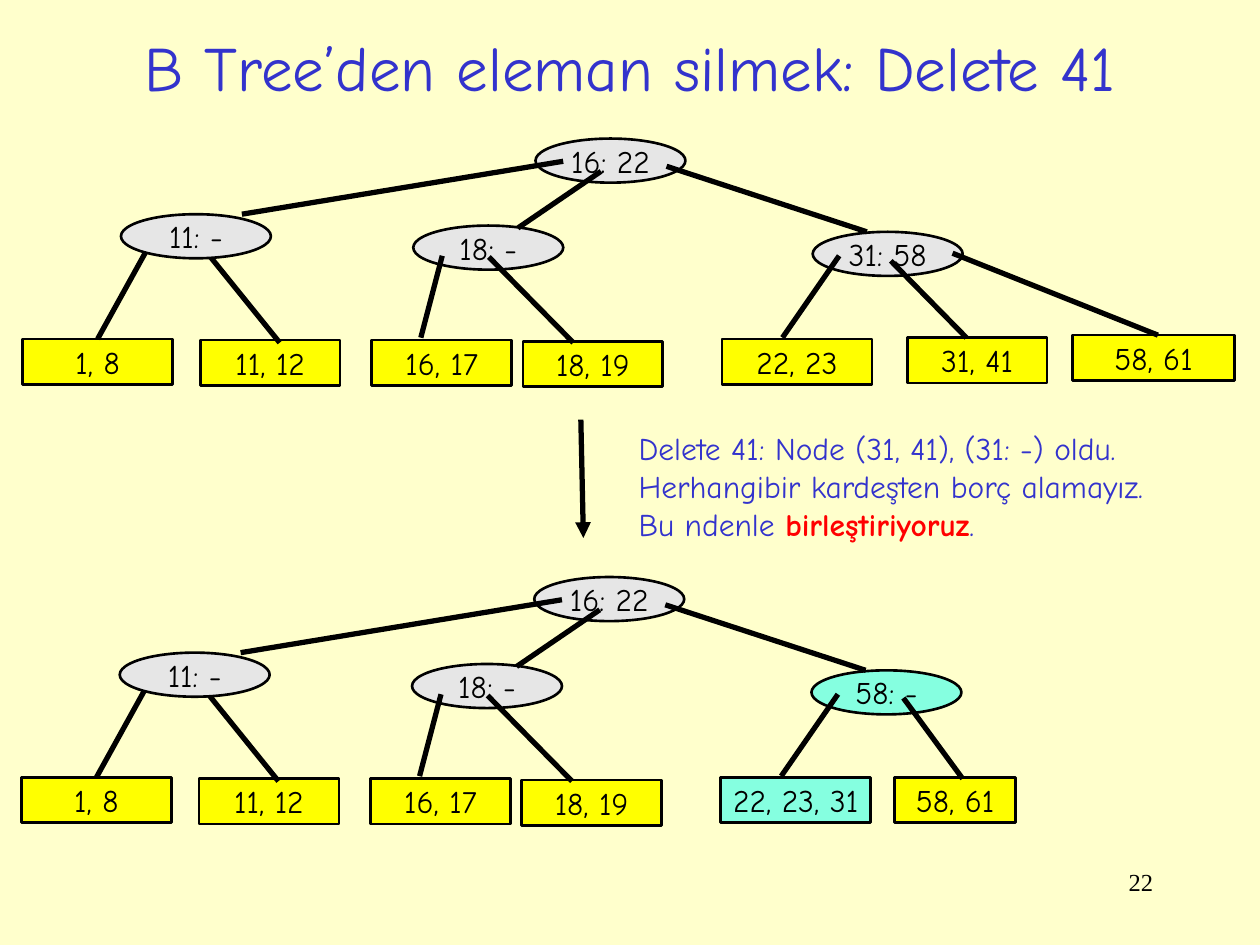
import pptx
import pptx.util
import pptx.dml.color
import pptx.enum.shapes
import pptx.enum.text
import pptx.oxml.ns
import lxml.etree

Inches, Pt = pptx.util.Inches, pptx.util.Pt
Shape = pptx.enum.shapes.MSO_SHAPE
Align = pptx.enum.text.PP_ALIGN
Anchor = pptx.enum.text.MSO_ANCHOR

FONT = "Comic Neue"
BLUE, BLACK, RED = "3333CC", "000000", "FF0000"
GREY, YELLOW, MINT = "E6E6E6", "FFFF00", "85FFE0"
NODE_WIDTH, NODE_HEIGHT, LEAF_HEIGHT = 1.19, 0.35, 0.36

# Content: nodes are (text, left, top, fill), leaves are (text, left, top, width, fill)
TITLE = "B Tree’den eleman silmek: Delete 41 "
EXPLANATION = [
    [("Delete 41: Node (31, 41), (31: -) oldu.", BLUE, False)],
    [("Herhangibir kardeşten borç alamayız.", BLUE, False)],
    [("Bu ndenle ", BLUE, False), ("birleştiriyoruz", RED, True), (".", BLUE, False)],
]
SHARED = {
    "nodes": [("16: 22", 4.25, 1.1, GREY), ("18: -", 3.28, 1.79, GREY)],
    "leaves": [("1, 8", 0.18, 2.69, 1.19, YELLOW), ("11, 12", 1.59, 2.7, 1.11, YELLOW),
               ("16, 17", 2.95, 2.7, 1.11, YELLOW), ("18, 19", 4.15, 2.71, 1.11, YELLOW)],
    "edges": [(4.47, 1.28, 1.92, 1.7), (4.77, 1.36, 4.11, 1.81), (5.29, 1.32, 6.88, 1.84),
              (1.19, 1.94, 0.77, 2.69), (1.59, 1.94, 2.22, 2.72),
              (3.51, 2.03, 3.34, 2.68), (3.88, 2.04, 4.55, 2.72),
              (6.66, 2.03, 6.21, 2.68)],
}
FRONT_NODE = ("11: -", 0.96, 1.7, GREY)  # covers the start of its edges
BEFORE = {
    "nodes": [("31: 58", 6.45, 1.84, GREY)],
    "leaves": [("22, 23", 5.73, 2.69, 1.19, YELLOW), ("31, 41", 7.2, 2.68, 1.11, YELLOW),
               ("58, 61", 8.51, 2.66, 1.29, YELLOW)],
    "edges": [(7.07, 2.07, 7.67, 2.68), (7.56, 2.01, 9.19, 2.66)],
}
AFTER = {
    "nodes": [("58: -", 6.45, 1.84, MINT)],
    "leaves": [("22, 23, 31", 5.73, 2.69, 1.19, MINT), ("58, 61", 7.11, 2.69, 0.96, YELLOW)],
    "edges": [(7.18, 2.06, 7.65, 2.7)],
}
TREES = [(BEFORE, 0, 0), (AFTER, -0.01, 3.48)]  # tree, shift right, shift down


def color(value):
    return pptx.dml.color.RGBColor.from_string(value)


def write(box, lines, size=18, font=FONT, align=Align.LEFT, anchor=Anchor.TOP, wrap=False):
    frame = box.text_frame
    frame.word_wrap = wrap
    frame.vertical_anchor = anchor
    for index, line in enumerate(lines):
        para = frame.add_paragraph() if index else frame.paragraphs[0]
        para.alignment = align
        for text, shade, bold in line:
            span = para.add_run()
            span.text = text
            span.font.name, span.font.size, span.font.bold = font, Pt(size), bold
            span.font.color.rgb = color(shade)


def add_text(page, lines, left, top, width, height, **style):
    box = page.shapes.add_textbox(Inches(left), Inches(top), Inches(width), Inches(height))
    write(box, lines, **style)


def add_key_box(page, kind, text, left, top, width, height, fill):
    box = page.shapes.add_shape(kind, Inches(left), Inches(top), Inches(width), Inches(height))
    box.shadow.inherit = False
    box.fill.solid()
    box.fill.fore_color.rgb = color(fill)
    box.line.color.rgb = color(BLACK)
    box.line.width = Pt(1.5)
    write(box, [[(text, BLACK, False)]], align=Align.CENTER, anchor=Anchor.MIDDLE)
    return box


def add_line(page, x1, y1, x2, y2, arrow=False):
    line = page.shapes.add_connector(pptx.enum.shapes.MSO_CONNECTOR.STRAIGHT,
                                     Inches(x1), Inches(y1), Inches(x2), Inches(y2))
    line.line.color.rgb = color(BLACK)
    line.line.width = Pt(3)
    if arrow:
        lxml.etree.SubElement(line.line._get_or_add_ln(),
                              pptx.oxml.ns.qn("a:tailEnd"), type="triangle")
    lxml.etree.SubElement(line._element.spPr, pptx.oxml.ns.qn("a:effectLst"))
    return line


def add_tree(page, tree, right, down):
    def add_node(text, left, top, fill):
        add_key_box(page, Shape.OVAL, text, left + right, top + down,
                    NODE_WIDTH, NODE_HEIGHT, fill)

    for node in SHARED["nodes"] + tree["nodes"]:
        add_node(*node)
    leaves = []
    for text, left, top, width, fill in SHARED["leaves"] + tree["leaves"]:
        box = add_key_box(page, Shape.RECTANGLE, text, left + right, top + down,
                          width, LEAF_HEIGHT, fill)
        leaves.append((left + width / 2, top, box))
    for x1, y1, x2, y2 in SHARED["edges"] + tree["edges"]:
        line = add_line(page, x1 + right, y1 + down, x2 + right, y2 + down)
        for middle, top, box in leaves:
            if abs(middle - x2) < 0.02 and abs(top - y2) < 0.02:
                line.end_connect(box, 0)
    add_node(*FRONT_NODE)


def main():
    deck = pptx.Presentation()
    deck.slide_width, deck.slide_height = Inches(10), Inches(7.5)
    page = deck.slides.add_slide(deck.slide_layouts[6])
    page.background.fill.solid()
    page.background.fill.fore_color.rgb = color("FFFFCC")

    # Title and page number
    add_text(page, [[(TITLE, BLUE, False)]], 0.72, 0.15, 8.73, 0.76, size=36,
             align=Align.CENTER, anchor=Anchor.MIDDLE, wrap=True)
    add_text(page, [[("22", BLACK, False)]], 7.17, 6.83, 2.08, 0.5, size=14,
             font="Times New Roman", align=Align.RIGHT, wrap=True)

    # Step from the first tree to the second
    add_line(page, 4.61, 3.33, 4.63, 4.27, arrow=True)
    add_text(page, EXPLANATION, 4.97, 3.36, 4.23, 1)

    for tree, right, down in TREES:
        add_tree(page, tree, right, down)
    deck.save("out.pptx")


if __name__ == "__main__":
    main()
